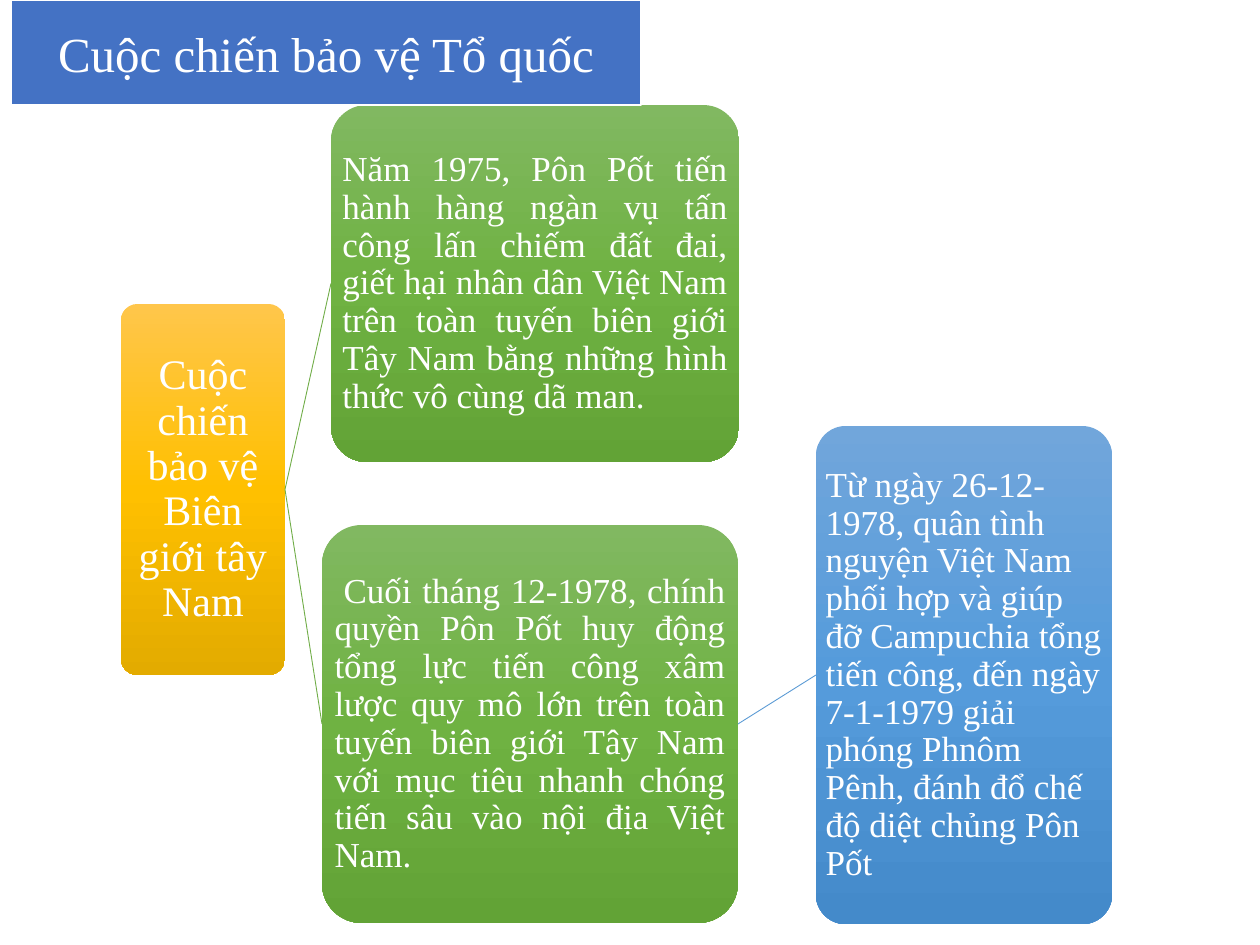
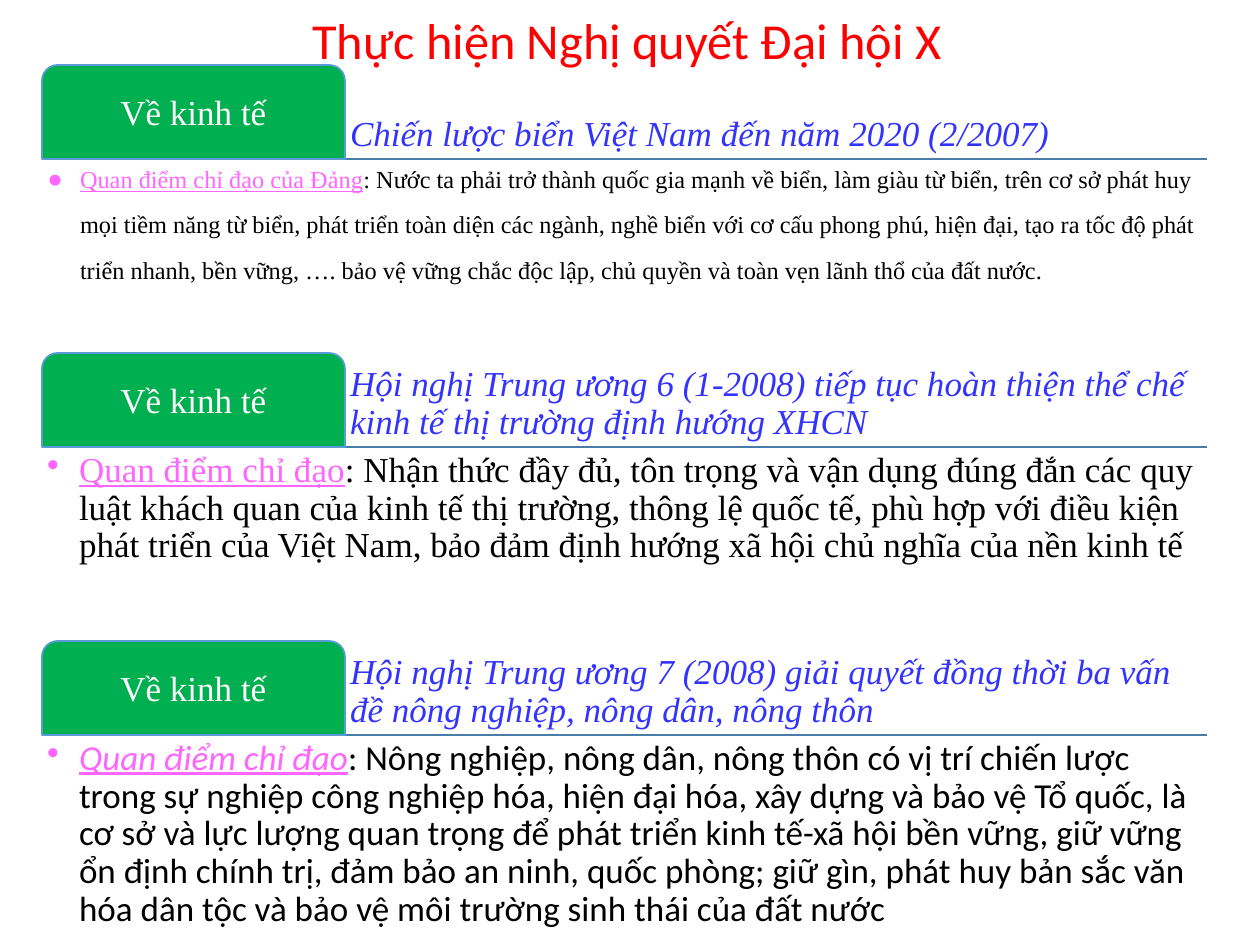
"""Builds two slides on the border war and the Party resolutions."""
import copy
from dataclasses import dataclass
from typing import Any

import pptx
import pptx.dml.color
import pptx.enum.shapes
import pptx.enum.text
import pptx.oxml
import pptx.oxml.ns
import pptx.util

SCALE = 914400 / 126
SERIF, SANS = "Times New Roman", "Calibri"
SHAPE = pptx.enum.shapes.MSO_SHAPE
ALIGN = pptx.enum.text.PP_ALIGN
ANCHOR = pptx.enum.text.MSO_ANCHOR
HUES = {
    "white": "FFFFFF", "black": "000000", "red": "FF0000", "pink": "FF66FF",
    "ink": "3333FF", "band": "4472C4", "tab": "00B050", "edge": "5B9BD5",
    "rule": "497CAB", "leaf": "70AD47",
}
FADES = {
    "gold": ("FFC64B", "FFC000", "E3AB00"),
    "green": ("81B861", "6FB242", "62A336"),
    "blue": ("71A6DB", "559BDB", "448ACA"),
}


@dataclass(frozen=True)
class Run:
    """A stretch of text in one format."""
    text: str
    size: float = 20
    hue: str = "white"
    font: str = SERIF
    slant: bool = False
    under: bool = False
    base: int = 0


@dataclass(frozen=True)
class Area:
    """A place on the slide in px."""
    left: int
    top: int
    width: int
    height: int


@dataclass(frozen=True)
class Node:
    """A faded box of the war chart."""
    area: Area
    fade: str
    run: Run
    align: Any
    inset: int = 1
    indent: int = 0


@dataclass(frozen=True)
class Link:
    """A line from the right of one node to the left of another."""
    start: str
    end: str
    hue: str


@dataclass(frozen=True)
class Topic:
    """A tab with its heading and body."""
    head: str
    lead: Run
    rest: str
    inset: int = 5


NODES = {
    "root": Node(Area(121, 304, 164, 371), "gold",
                 Run("Cuộc chiến bảo vệ Biên giới tây Nam", 24), ALIGN.CENTER, 3),
    "raid": Node(Area(331, 105, 408, 357), "green", Run(
        "Năm 1975, Pôn Pốt tiến hành hàng ngàn vụ tấn công lấn chiếm đất đai, "
        "giết hại nhân dân Việt Nam trên toàn tuyến biên giới Tây Nam bằng "
        "những hình thức vô cùng dã man."), ALIGN.JUSTIFY),
    "push": Node(Area(322, 525, 416, 398), "green", Run(
        "Cuối tháng 12-1978, chính quyền Pôn Pốt huy động tổng lực tiến công "
        "xâm lược quy mô lớn trên toàn tuyến biên giới Tây Nam với mục tiêu "
        "nhanh chóng tiến sâu vào nội địa Việt Nam."), ALIGN.JUSTIFY, indent=9),
    "end": Node(Area(816, 426, 296, 498), "blue", Run(
        "Từ ngày 26-12-1978, quân tình nguyện Việt Nam phối hợp và giúp đỡ "
        "Campuchia tổng tiến công, đến ngày 7-1-1979 giải phóng Phnôm Pênh, "
        "đánh đổ chế độ diệt chủng Pôn Pốt"), ALIGN.LEFT),
}
LINKS = [Link("root", "raid", "leaf"), Link("root", "push", "leaf"),
         Link("push", "end", "edge")]
TOPICS = [
    Topic("Chiến lược biển Việt Nam đến năm 2020 (2/2007)",
          Run("Quan điểm chỉ đạo của Đảng", 24, "pink", under=True, base=30),
          ": Nước ta phải trở thành quốc gia mạnh về biển, làm giàu từ biển, "
          "trên cơ sở phát huy mọi tiềm năng từ biển, phát triển toàn diện các "
          "ngành, nghề biển với cơ cấu phong phú, hiện đại, tạo ra tốc độ phát "
          "triển nhanh, bền vững, …. bảo vệ vững chắc độc lập, chủ quyền và "
          "toàn vẹn lãnh thổ của đất nước.", 6),
    Topic("Hội nghị Trung ương 6 (1-2008) tiếp tục hoàn thiện thể chế kinh tế "
          "thị trường định hướng XHCN",
          Run("Quan điểm chỉ đạo", hue="pink", under=True),
          ": Nhận thức đầy đủ, tôn trọng và vận dụng đúng đắn các quy luật "
          "khách quan của kinh tế thị trường, thông lệ quốc tế, phù hợp với "
          "điều kiện phát triển của Việt Nam, bảo đảm định hướng xã hội chủ "
          "nghĩa của nền kinh tế"),
    Topic("Hội nghị Trung ương 7 (2008) giải quyết đồng thời ba vấn đề nông "
          "nghiệp, nông dân, nông thôn",
          Run("Quan điểm chỉ đạo", hue="pink", font=SANS, slant=True, under=True),
          ": Nông nghiệp, nông dân, nông thôn có vị trí chiến lược trong sự "
          "nghiệp công nghiệp hóa, hiện đại hóa, xây dựng và bảo vệ Tổ quốc, là "
          "cơ sở và lực lượng quan trọng để phát triển kinh tế-xã hội bền vững, "
          "giữ vững ổn định chính trị, đảm bảo an ninh, quốc phòng; giữ gìn, "
          "phát huy bản sắc văn hóa dân tộc và bảo vệ môi trường sinh thái của "
          "đất nước"),
]


def px(count: int) -> int:
    """Turn px into EMU."""
    return round(count * SCALE)


def place(area: Area) -> tuple[int, ...]:
    """Give an area in EMU."""
    return tuple(map(px, (area.left, area.top, area.width, area.height)))


def tint(name: str) -> pptx.dml.color.RGBColor:
    """Look up a named colour."""
    return pptx.dml.color.RGBColor.from_string(HUES[name])


def style(item: Any, form: dict[str, Any]) -> None:
    """Set each format value on an item."""
    for key, value in form.items():
        setattr(item, key, value)


def write(shape: Any, runs: list[Run], align: Any = ALIGN.LEFT,
          anchor: Any = ANCHOR.MIDDLE, inset: int = 5, space: float = 0.9,
          indent: int = 0, bullet: bool = False) -> None:
    """Fill a shape with one paragraph."""
    frame = shape.text_frame
    sides = ("left", "top", "right", "bottom")
    style(frame, {"word_wrap": True, "vertical_anchor": anchor,
                  **{f"margin_{side}": px(inset) for side in sides}})
    line = frame.paragraphs[0]
    style(line, {"alignment": align, "line_spacing": space})
    props = line._p.get_or_add_pPr()
    if indent:
        props.set("indent", str(px(indent)))
    if bullet:
        props.set("marL", str(px(-indent)))
        mark = pptx.oxml.parse_xml(
            f'<a:buChar {pptx.oxml.ns.nsdecls("a")} char="•"/>')
        props.append(mark)
    for run in runs:
        part = line.add_run()
        part.text = run.text
        style(part.font, {"size": pptx.util.Pt(run.size), "name": run.font,
                          "italic": run.slant, "underline": run.under})
        part.font.color.rgb = tint(run.hue)
        if run.base:
            part._r.get_or_add_rPr().set("baseline", str(run.base * 1000))


def label(slide: Any, area: Area, runs: list[Run], **form: Any) -> None:
    """Add a text box."""
    write(slide.shapes.add_textbox(*place(area)), runs, **form)


def block(slide: Any, kind: Any, area: Area, fill: str, edge: str,
          width: float) -> Any:
    """Add a flat shape with an outline."""
    shape = slide.shapes.add_shape(kind, *place(area))
    shape.shadow.inherit = False
    shape.fill.solid()
    shape.fill.fore_color.rgb = tint(fill)
    shape.line.color.rgb = tint(edge)
    shape.line.width = pptx.util.Pt(width)
    return shape


def wire(slide: Any, start: tuple[int, int], end: tuple[int, int], hue: str,
         width: float) -> Any:
    """Add a straight line."""
    line = slide.shapes.add_connector(
        pptx.enum.shapes.MSO_CONNECTOR.STRAIGHT, *map(px, start + end))
    line.line.color.rgb = tint(hue)
    line.line.width = pptx.util.Pt(width)
    line._element.spPr.append(pptx.oxml.parse_xml(
        f'<a:effectLst {pptx.oxml.ns.nsdecls("a")}/>'))
    return line


def shade(shape: Any, fade: str) -> None:
    """Give a shape a three-stop fade from top to bottom."""
    fill = shape.fill
    fill.gradient()
    fill.gradient_angle = 270
    stops = shape._element.spPr.find(pptx.oxml.ns.qn("a:gradFill")).gsLst
    stops.append(copy.deepcopy(stops[0]))
    for stop, spot, hue in zip(fill.gradient_stops, (0, 0.5, 1), FADES[fade]):
        stop.position = spot
        stop.color.rgb = pptx.dml.color.RGBColor.from_string(hue)


def box(slide: Any, node: Node) -> Any:
    """Add a node of the war chart."""
    shape = slide.shapes.add_shape(SHAPE.ROUNDED_RECTANGLE, *place(node.area))
    shape.shadow.inherit = False
    shape.adjustments[0] = 0.1
    shade(shape, node.fade)
    shape.line.fill.background()
    write(shape, [node.run], node.align, inset=node.inset, indent=node.indent)
    return shape


def war(slide: Any) -> None:
    """Draw the border war chart."""
    boxes = {name: box(slide, node) for name, node in NODES.items()}
    for link in LINKS:
        line = wire(slide, (0, 0), (0, 0), link.hue, 0.5)
        line.begin_connect(boxes[link.start], 3)
        line.end_connect(boxes[link.end], 1)
    band = block(slide, SHAPE.RECTANGLE, Area(11, 0, 630, 105), "band", "white", 1.5)
    write(band, [Run("Cuộc chiến bảo vệ Tổ quốc", 28)], ALIGN.CENTER, space=1.0)


def plan(slide: Any) -> None:
    """Draw the resolution topics."""
    left, wide, tall, tab = 42, 1165, 94, 303
    label(slide, Area(84, 21, 1086, 44),
          [Run("Thực hiện Nghị quyết Đại hội X", 28.8, "red", SANS)],
          align=ALIGN.CENTER)
    for index, topic in enumerate(TOPICS):
        top = 65 + 288 * index
        base = top + tall
        wire(slide, (left, base), (left + wide, base), "rule", 1)
        label(slide, Area(left + tab, top, wide - tab, tall),
              [Run(topic.head, hue="ink", slant=True)], anchor=ANCHOR.BOTTOM)
        shape = block(slide, SHAPE.ROUND_2_SAME_RECTANGLE,
                      Area(left, top, tab, tall), "tab", "edge", 1)
        write(shape, [Run("Về kinh tế")], ALIGN.CENTER)
        lead = topic.lead
        rest = Run(topic.rest, lead.size, "black", lead.font, base=lead.base)
        label(slide, Area(left, base, wide, 189), [lead, rest],
              anchor=ANCHOR.TOP, inset=topic.inset, indent=-32, bullet=True)


def main() -> None:
    """Build and save the deck."""
    deck = pptx.Presentation()
    style(deck, {"slide_width": px(1260), "slide_height": px(945)})
    for draw in (war, plan):
        draw(deck.slides.add_slide(deck.slide_layouts[6]))
    deck.save("out.pptx")


if __name__ == "__main__":
    main()
